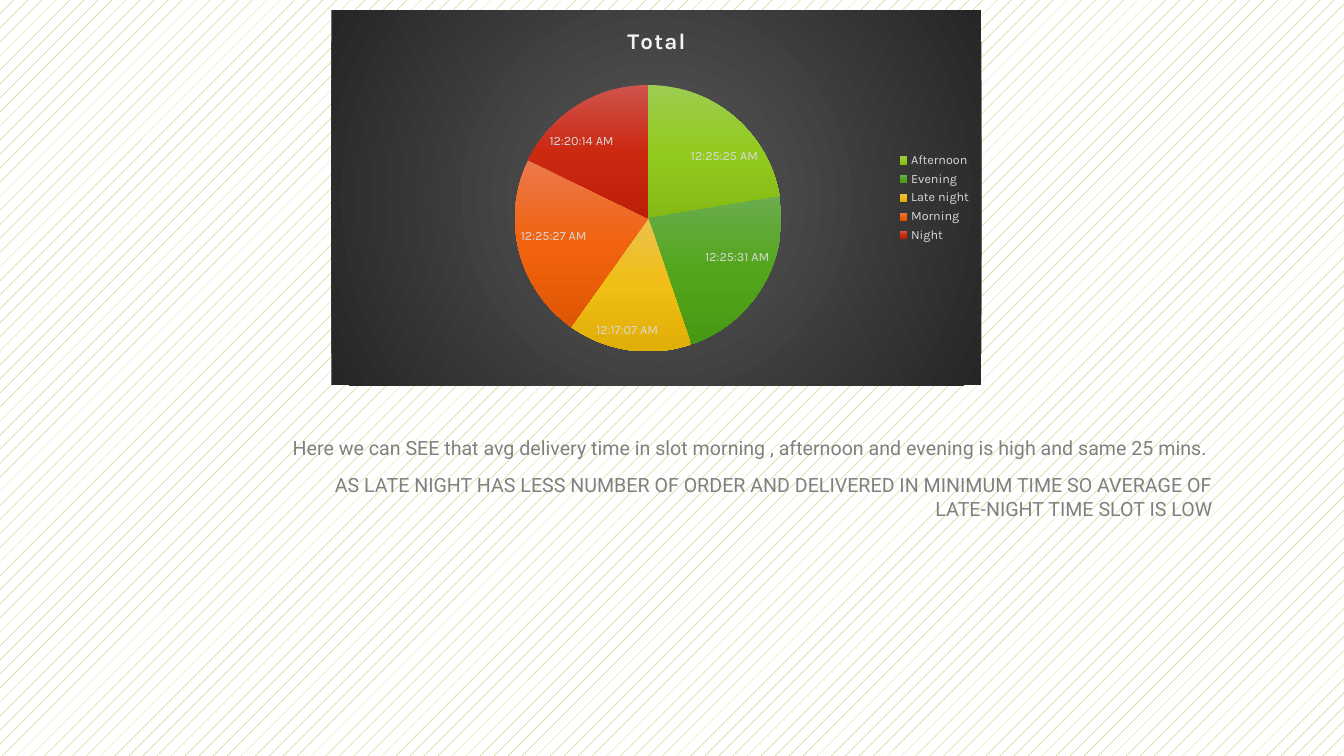
from lxml.etree import SubElement
from pptx import Presentation
from pptx.chart.data import CategoryChartData
from pptx.dml.color import RGBColor
from pptx.enum.chart import XL_CHART_TYPE, XL_LABEL_POSITION, XL_LEGEND_POSITION
from pptx.enum.dml import MSO_PATTERN
from pptx.enum.text import MSO_ANCHOR, PP_ALIGN
from pptx.oxml import parse_xml
from pptx.oxml.ns import nsdecls, qn
from pptx.util import Pt

COLORS = {
    "accent": "90C226", "paper": "FFFFFF", "body": "808080",
    "title": "F2F2F2", "label": "D9D9D9",
    "chart_center": "595959", "chart_edge": "262626",
}
TIME_FORMAT = r"[$-F400]h:mm:ss\ AM/PM"
SECONDS_PER_DAY = 24 * 60 * 60
# slot: (minutes, seconds), gradient from top to bottom
SLOTS = {
    "Afternoon": ((25, 26), ("9DCC51", "93CA1E", "85BA14")),
    "Evening": ((25, 31), ("6BAC4F", "53A61B", "489912")),
    "Late night": ((17, 7), ("EBC14F", "F0BE14", "E0AF07")),
    "Morning": ((25, 27), ("EC794E", "F1630E", "E05603")),
    "Night": ((20, 14), ("CE544D", "CC2911", "BD1E08")),
}
FINDINGS = [
    "Here we can SEE that avg delivery time in slot morning , afternoon and "
    "evening is high and same 25 mins. ",
    "AS LATE NIGHT HAS LESS NUMBER OF ORDER AND DELIVERED IN MINIMUM TIME SO "
    "AVERAGE OF LATE-NIGHT TIME SLOT IS LOW",
]


def format_font(font, name, size, color, bold=False):
    font.name = name
    font.size = Pt(size)
    font.bold = bold
    font.color.rgb = RGBColor.from_string(COLORS[color])


def write_text(paragraph, text, *, font, size, color, bold=False,
               align=None, space_before=0):
    paragraph.alignment = align
    paragraph.space_before = Pt(space_before)
    run = paragraph.add_run()
    run.text = text
    format_font(run.font, font, size, color, bold)
    return run


def gradient_fill(colors, direction):
    """Build a gradFill element with evenly spaced stops."""
    step = 100000 // (len(colors) - 1)
    stops = "".join(
        f'<a:gs pos="{index * step}"><a:srgbClr val="{color}"/></a:gs>'
        for index, color in enumerate(colors))
    return parse_xml(f'<a:gradFill {nsdecls("a")} rotWithShape="1">'
                     f'<a:gsLst>{stops}</a:gsLst>{direction}</a:gradFill>')


class SlideBuilder:
    chart_font = "Karla"
    body_font = "Roboto"

    def __init__(self, presentation):
        self.slide = presentation.slides.add_slide(presentation.slide_layouts[0])
        title = self.slide.shapes.title.element
        title.getparent().remove(title)

    def background(self):
        fill = self.slide.background.fill
        fill.patterned()
        fill.pattern = MSO_PATTERN.PERCENT_5
        fill.fore_color.rgb = RGBColor.from_string(COLORS["accent"])
        fill.back_color.rgb = RGBColor.from_string(COLORS["paper"])

    def subtitle(self, paragraphs, left, top, width, height):
        shape = self.slide.placeholders[1]
        shape.left, shape.top = Pt(left), Pt(top)
        shape.width, shape.height = Pt(width), Pt(height)
        frame = shape.text_frame
        frame.word_wrap = True
        frame.vertical_anchor = MSO_ANCHOR.TOP
        for index, text in enumerate(paragraphs):
            paragraph = frame.add_paragraph() if index else frame.paragraphs[0]
            write_text(paragraph, text, font=self.body_font, size=14,
                       color="body", align=PP_ALIGN.RIGHT, space_before=10)

    def pie(self, title, slots, left, top, width, height):
        data = CategoryChartData(number_format=TIME_FORMAT)
        data.categories = list(slots)
        data.add_series(title, [
            round((minutes * 60 + seconds) / SECONDS_PER_DAY, 6)
            for (minutes, seconds), _ in slots.values()])
        chart = self.slide.shapes.add_chart(
            XL_CHART_TYPE.PIE, Pt(left), Pt(top), Pt(width), Pt(height), data).chart
        chart.font.name = self.chart_font
        chart.font.size = Pt(10)

        chart.has_title = True
        run = write_text(chart.chart_title.text_frame.paragraphs[0], title,
                         font=self.chart_font, size=16, color="title", bold=True)
        run.font._element.set("spc", "100")
        chart.chart_title.include_in_layout = False

        chart.has_legend = True
        chart.legend.position = XL_LEGEND_POSITION.RIGHT
        chart.legend.include_in_layout = False
        format_font(chart.legend.font, self.chart_font, 9, "label")

        plot = chart.plots[0]
        plot.vary_by_categories = True
        plot.has_data_labels = True
        labels = plot.data_labels
        labels.show_value = True
        labels.show_percentage = False
        labels.number_format = TIME_FORMAT
        labels.number_format_is_linked = False
        labels.position = XL_LABEL_POSITION.BEST_FIT
        format_font(labels.font, self.chart_font, 9, "label")
        self.color_pie(chart, [colors for _, colors in slots.values()])

    def color_pie(self, chart, slice_colors):
        """Give each slice a vertical gradient and the chart area a radial one."""
        series = chart.plots[0].series[0]
        for index, colors in enumerate(slice_colors):
            point = series.points[index]
            point.format.fill.solid()
            point.format.line.fill.background()
            solid = series._element.findall(
                f"{qn('c:dPt')}/{qn('c:spPr')}/{qn('a:solidFill')}")[0]
            solid.getparent().replace(
                solid, gradient_fill(colors, '<a:lin ang="5400000" scaled="0"/>'))

        area = parse_xml(f'<c:spPr {nsdecls("c", "a")}/>')
        area.append(gradient_fill(
            (COLORS["chart_center"], COLORS["chart_edge"]),
            '<a:path path="circle"><a:fillToRect l="50000" t="50000" '
            'r="50000" b="50000"/></a:path>'))
        SubElement(SubElement(area, qn("a:ln")), qn("a:noFill"))
        chart._chartSpace.find(qn("c:txPr")).addprevious(area)


def main():
    presentation = Presentation()
    presentation.slide_width, presentation.slide_height = Pt(960), Pt(540)
    builder = SlideBuilder(presentation)
    builder.background()
    builder.subtitle(FINDINGS, 193, 307.5, 680.4, 92.9)
    builder.pie("Total", SLOTS, 236.7, 7.2, 464.4, 268)
    presentation.save("out.pptx")


if __name__ == "__main__":
    main()
